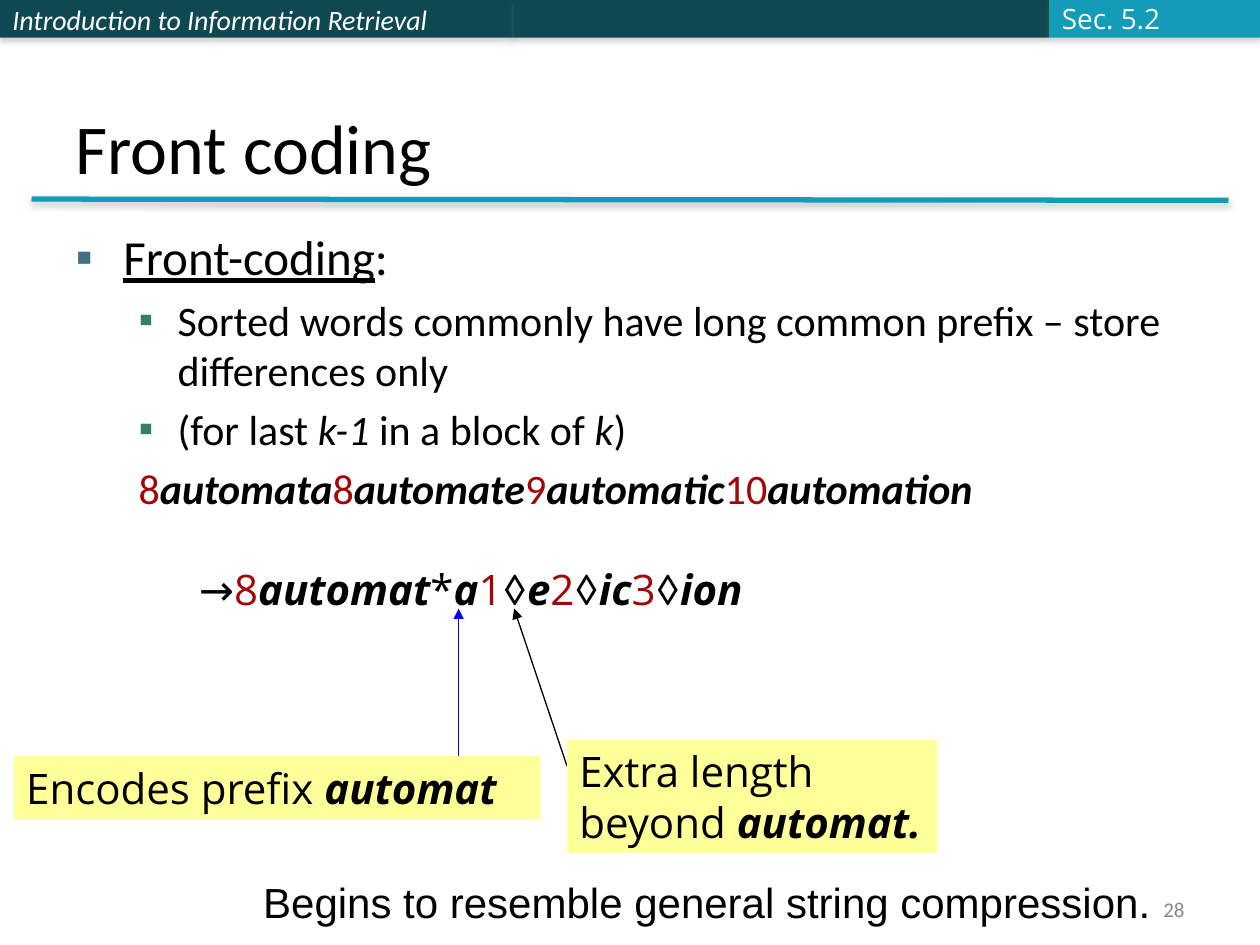
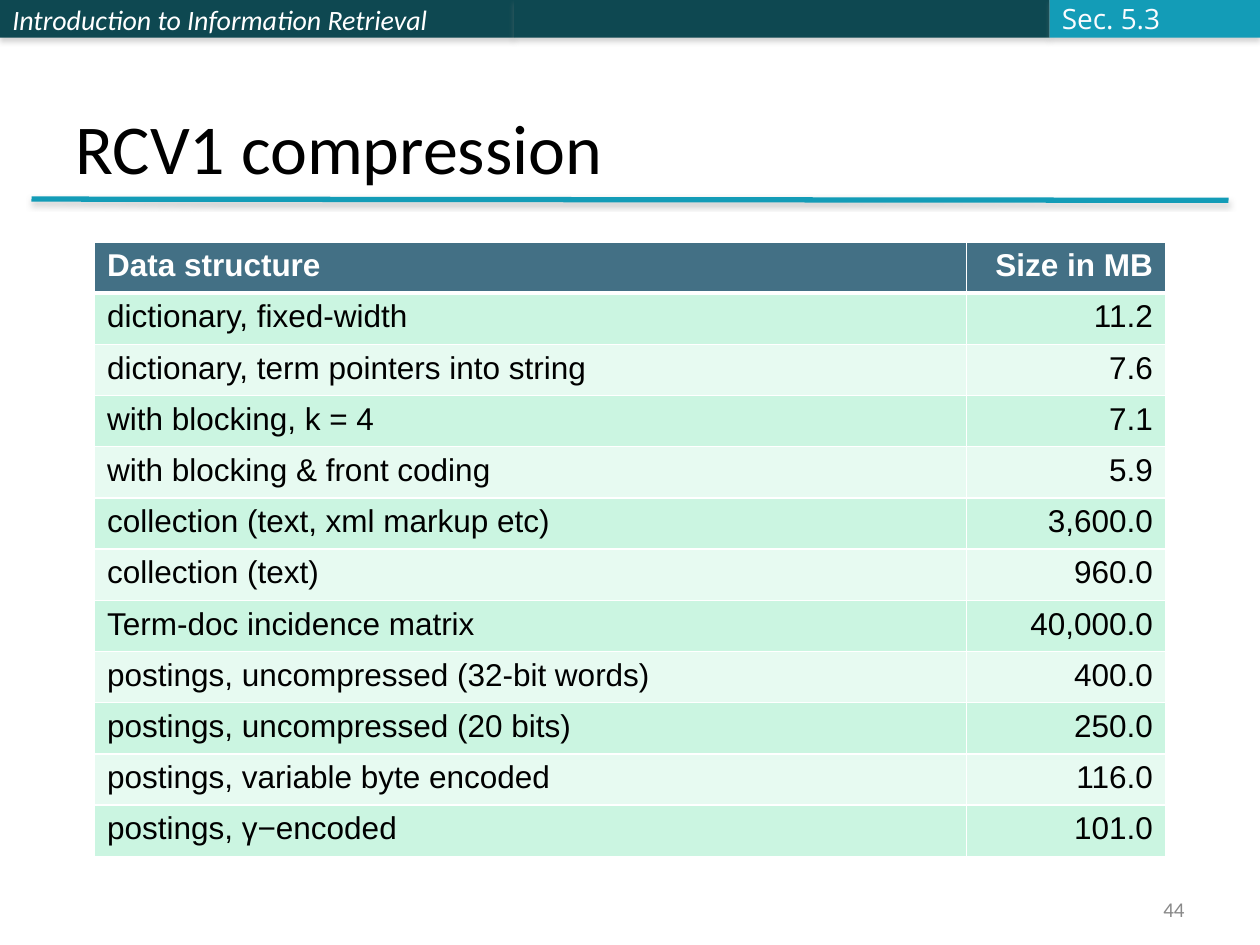
from pptx import Presentation
from pptx.dml.color import RGBColor
from pptx.enum.dml import MSO_THEME_COLOR
from pptx.enum.shapes import MSO_CONNECTOR, MSO_SHAPE
from pptx.enum.text import MSO_ANCHOR as Anchor, MSO_AUTO_SIZE as AutoSize, PP_ALIGN as Align
from pptx.oxml.ns import qn
from pptx.util import Inches, Pt
from lxml.etree import SubElement

BLACK, WHITE, PALE, GREY = "000000", "FFFFFF", "FBFCFF", "898989"
DEEP_TEAL, TEAL, SLATE, GREEN = "0E4851", "139CB7", "437085", "357E69"
RED, BLUE, YELLOW = "A40508", "0000FF", "FFFF99"
ROW_TINTS = ("CBF5E1", "E7FAF1")

BODY_FONT = dict(name="Calibri", size=Pt(24), color=BLACK)
TITLE_FONT = dict(BODY_FONT, size=Pt(40))
HEADING_FONT = dict(BODY_FONT, size=Pt(28))
NOTE_FONT = dict(BODY_FONT, name="Open Sans")
REMARK_FONT = dict(BODY_FONT, name="Arial")
CELL_FONT = dict(REMARK_FONT, size=Pt(18))
STRONG = dict(bold=True, italic=True)
ITALIC = dict(italic=True)
COUNT = dict(color=RED)

SIZES = [
    ("dictionary, fixed-width", "11.2"),
    ("dictionary, term pointers into string", "7.6"),
    ("with blocking, k = 4", "7.1"),
    ("with blocking & front coding", "5.9"),
    ("collection (text, xml markup etc)", "3,600.0"),
    ("collection (text)", "960.0"),
    ("Term-doc incidence matrix", "40,000.0"),
    ("postings, uncompressed (32-bit words)", "400.0"),
    ("postings, uncompressed (20 bits)", "250.0"),
    ("postings, variable byte encoded", "116.0"),
    ("postings, γ−encoded", "101.0"),
]


def rgb(value):
    return RGBColor.from_string(value)


def inches(box):
    return [Inches(length) for length in box]


def add_solid(parent, color):
    fill = SubElement(parent, qn("a:solidFill"))
    return SubElement(fill, qn("a:srgbClr"), val=color)


def write_spans(para, spans, font, align=Align.LEFT):
    """Fill a paragraph with (text, extra format) pairs on top of a base font."""
    para.alignment = align
    for text, extra in spans:
        span = para.add_run()
        span.text = text
        for key, value in {**font, **extra}.items():
            if key == "color":
                span.font.color.rgb = rgb(value)
            else:
                setattr(span.font, key, value)


def write_frame(frame, lines, font, anchor=Anchor.TOP, align=Align.LEFT):
    """Write one paragraph per list of spans and return the paragraphs."""
    settings = dict(word_wrap=True, auto_size=AutoSize.NONE, vertical_anchor=anchor)
    for key, value in settings.items():
        setattr(frame, key, value)
    paras = [frame.paragraphs[0]] + [frame.add_paragraph() for _ in lines[1:]]
    for para, spans in zip(paras, lines):
        write_spans(para, spans, font, align)
    return paras


def add_label(page, box, lines, font, fill=None, **layout):
    label = page.shapes.add_textbox(*inches(box))
    if fill:
        label.fill.solid()
        label.fill.fore_color.rgb = rgb(fill)
    write_frame(label.text_frame, lines, font, **layout)


def add_soft_shadow(shape, opacity):
    """Give a shape or connector a short grey shadow straight below it."""
    props = shape._element.spPr
    effects = props.find(qn("a:effectLst"))
    if effects is None:
        effects = SubElement(props, qn("a:effectLst"))
    shadow = SubElement(effects, qn("a:outerShdw"), blurRad=str(Pt(3.1)), dist=str(Pt(1.7)),
                        dir="5400000", rotWithShape="0")
    color = SubElement(shadow, qn("a:srgbClr"), val="808080")
    SubElement(color, qn("a:alpha"), val=str(opacity * 1000))


def add_line(page, start, end, color, width):
    line = page.shapes.add_connector(MSO_CONNECTOR.STRAIGHT, *inches(start + end))
    line.line.color.rgb = rgb(color)
    line.line.width = Pt(width)
    return line


def add_arrow(page, start, end, color, width):
    arrow = add_line(page, start, end, color, width)
    SubElement(arrow.line._get_or_add_ln(), qn("a:tailEnd"), type="triangle")
    SubElement(arrow._element.spPr, qn("a:effectLst"))


def add_band(page, left, width, color):
    band = page.shapes.add_shape(MSO_SHAPE.RECTANGLE, *inches((left, 0, width, 0.3)))
    band.fill.solid()
    band.fill.fore_color.rgb = rgb(color)
    band.line.fill.background()
    band.shadow.inherit = False
    add_soft_shadow(band, 35)
    return band


def add_frame(page, title, section, number):
    """Add what every slide shares: bands, title, rule, section and number."""
    course = add_band(page, 0, 4.08, DEEP_TEAL)
    write_frame(course.text_frame, [[("Introduction to Information Retrieval", ITALIC)]],
                dict(BODY_FONT, size=Pt(16), color=WHITE), Anchor.MIDDLE)
    add_band(page, 4.08, 4.25, DEEP_TEAL)
    add_band(page, 8.33, 1.67, TEAL)
    add_soft_shadow(add_line(page, (0.25, 1.58), (9.75, 1.59), TEAL, 3), 38)

    place(page.shapes.title, (0.5, 0.3, 9, 1.25))
    write_frame(page.shapes.title.text_frame, [[(title, {})]], TITLE_FONT, Anchor.BOTTOM)
    add_label(page, (8.33, -0.04, 1.06, 0.37), [[(section, {})]],
              dict(NOTE_FONT, size=Pt(16), color=PALE), anchor=Anchor.MIDDLE)
    add_label(page, (7.17, 7.08, 2.33, 0.27), [[(number, {})]],
              dict(BODY_FONT, size=Pt(12), color=GREY), anchor=Anchor.MIDDLE, align=Align.RIGHT)


def place(shape, box):
    for key, value in zip(("left", "top", "width", "height"), inches(box)):
        setattr(shape, key, value)


def set_bullet(para, margin, hang, color=None):
    """Set a hanging indent with a square bullet, or no bullet without a colour."""
    props = para._p.get_or_add_pPr()
    props.set("marL", str(Inches(margin)))
    props.set("indent", str(-Inches(hang)))
    if color is None:
        SubElement(props, qn("a:buNone"))
        return
    SubElement(SubElement(props, qn("a:buClr")), qn("a:srgbClr"), val=color)
    SubElement(props, qn("a:buFont"), typeface="Arial")
    SubElement(props, qn("a:buChar"), char="▪")


def add_points(page, box):
    body = page.placeholders[1]
    place(body, box)
    words = [("8", "automata"), ("8", "automate"), ("9", "automatic"), ("10", "automation")]
    coded = [span for count, word in words for span in ((count, COUNT), (word, STRONG))]
    heading = dict(HEADING_FONT, underline=True)
    lines = [
        [("Front-coding", heading), (":", HEADING_FONT)],
        [("Sorted words commonly have long common prefix – store differences only", {})],
        [("(for last ", {}), ("k-1", ITALIC), (" in a block of ", {}), ("k", ITALIC), (")", {})],
        coded,
    ]
    first, *details = write_frame(body.text_frame, lines, BODY_FONT)
    set_bullet(first, 0.38, 0.38, SLATE)
    for para, color in zip(details, (GREEN, GREEN, None)):
        para.level = 1
        set_bullet(para, 0.81, 0.31, color)


def add_coding_example(page, left, top):
    """Show the front-coded string with arrows from the two notes below it."""
    coded = [("→", {}), ("8", COUNT), ("automat", STRONG), ("*", {}), ("a", STRONG)]
    for count, ending in (("1", "e"), ("2", "ic"), ("3", "ion")):
        coded += [(count, COUNT), ("◊", {}), (ending, STRONG)]
    add_label(page, (left, top, 4.73, 0.51), [coded], NOTE_FONT)

    tip, foot = top + 0.41, top + 1.66
    add_arrow(page, (left + 2.16, foot), (left + 2.16, tip), BLUE, 1)
    add_label(page, (left - 1.37, top + 1.58, 4.18, 0.5),
              [[("Encodes prefix ", {}), ("automat", STRONG)]], NOTE_FONT, YELLOW)
    add_arrow(page, (left + 3.02, foot), (left + 2.6, tip), BLACK, 0.75)
    add_label(page, (left + 3.02, top + 1.45, 2.94, 0.9),
              [[("Extra length", {})], [("beyond ", {}), ("automat.", STRONG)]],
              NOTE_FONT, YELLOW)


def style_cell(cell, fill, top, bottom):
    """Set white borders of the given point widths, then the cell fill."""
    props = cell._tc.get_or_add_tcPr()
    for side, width in (("lnL", 1), ("lnR", 1), ("lnT", top), ("lnB", bottom)):
        add_solid(SubElement(props, qn(f"a:{side}"), w=str(Pt(width))), WHITE)
    cell.fill.solid()
    cell.fill.fore_color.rgb = rgb(fill)


def add_size_table(page, box, columns):
    rows = [("Data structure", "Size in MB")] + SIZES
    table = page.shapes.add_table(len(rows), len(columns), *inches(box)).table
    for column, width in zip(table.columns, columns):
        column.width = Inches(width)
    for r, row in enumerate(rows):
        table.rows[r].height = Inches(box[3] / len(rows))
        header = r == 0
        font = dict(CELL_FONT, bold=header, color=WHITE if header else BLACK)
        fill = SLATE if header else ROW_TINTS[(r - 1) % 2]
        for c, text in enumerate(row):
            cell = table.cell(r, c)
            style_cell(cell, fill, top=3 if r == 1 else 1, bottom=3 if header else 1)
            write_spans(cell.text_frame.paragraphs[0], [(text, {})], font,
                        Align.RIGHT if c else Align.LEFT)


def add_front_coding_slide(deck):
    page = deck.slides.add_slide(deck.slide_layouts[1])
    add_frame(page, "Front coding", "Sec. 5.2", "28")
    add_points(page, (0.5, 1.75, 9, 5.42))
    add_coding_example(page, 1.48, 4.42)
    add_label(page, (1.99, 6.91, 7.35, 0.5),
              [[("Begins to resemble general string compression.", {})]], REMARK_FONT)


def add_compression_slide(deck):
    page = deck.slides.add_slide(deck.slide_layouts[5])
    add_frame(page, "RCV1 compression", "Sec. 5.3", "44")
    add_size_table(page, (0.75, 1.92, 8.5, 4.88), (6.92, 1.58))


def main():
    deck = Presentation()
    deck.slide_width, deck.slide_height = Inches(10), Inches(7.5)
    add_front_coding_slide(deck)
    add_compression_slide(deck)
    deck.save("out.pptx")


if __name__ == "__main__":
    main()
